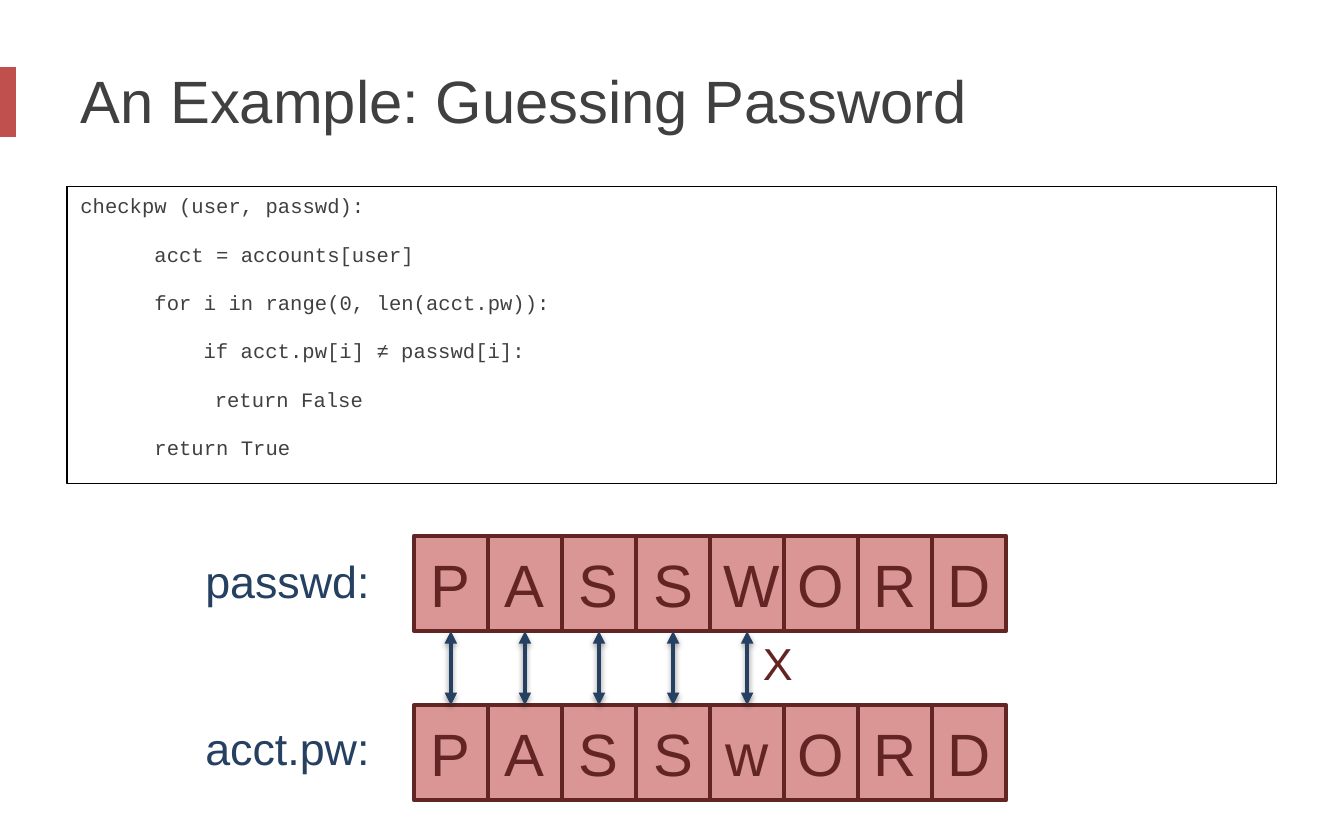
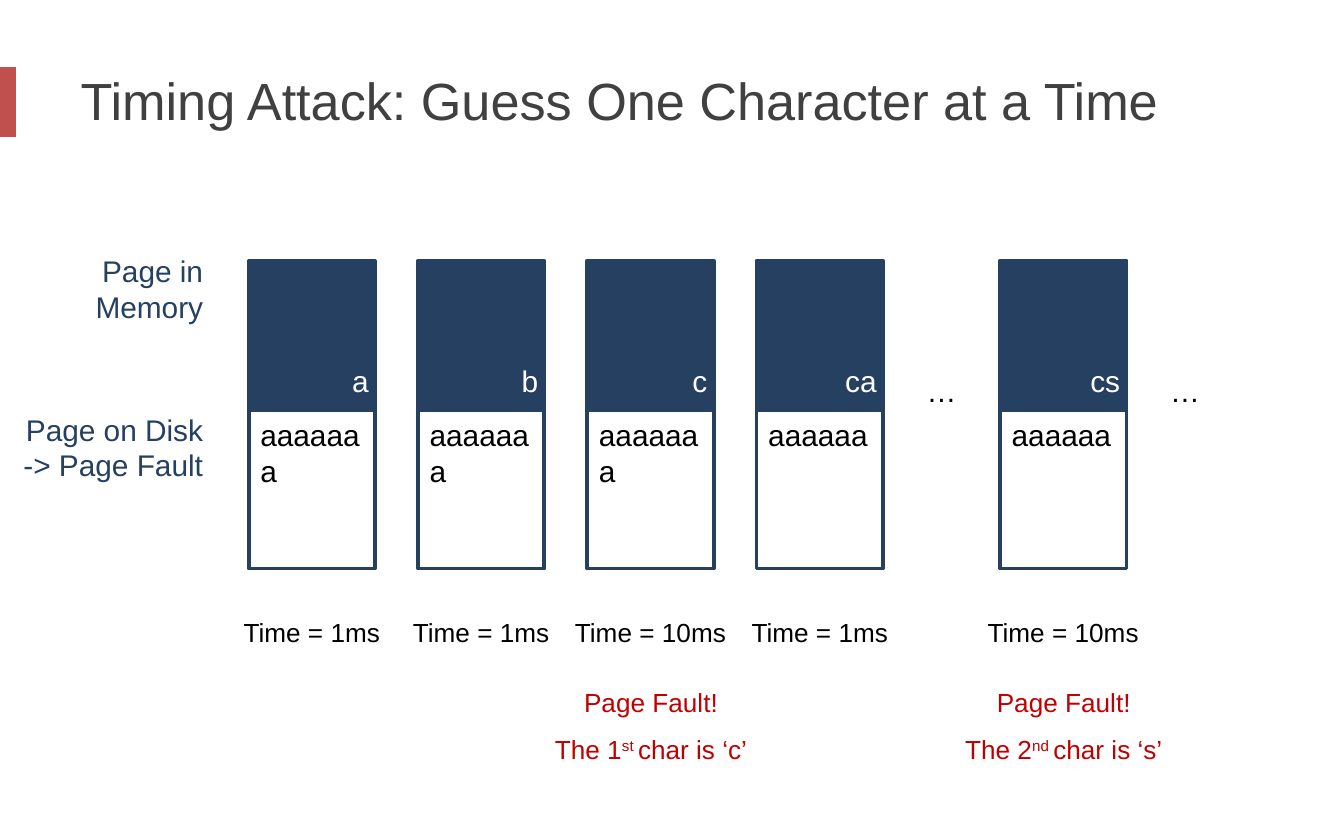
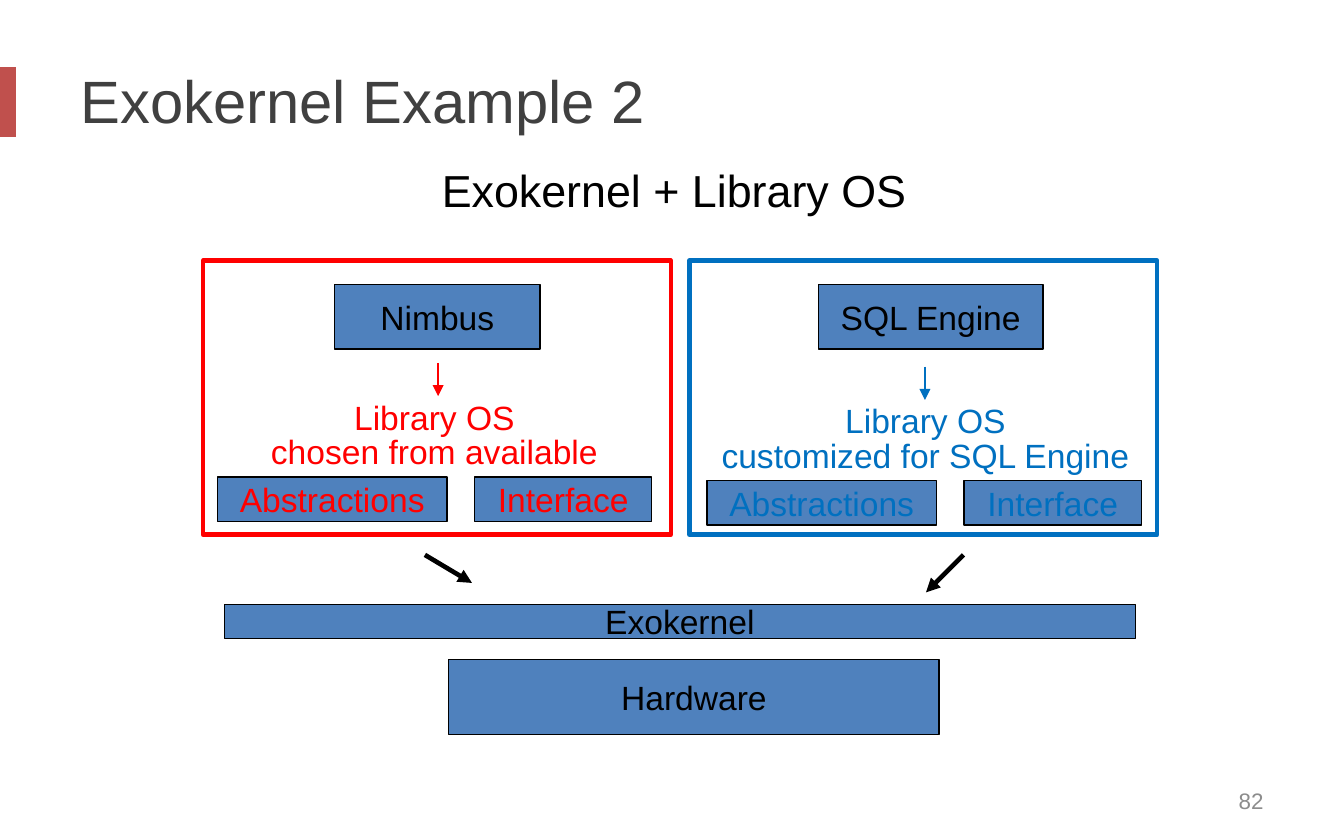
from lxml import etree
from pptx import Presentation
from pptx import util as u
from pptx.dml.color import RGBColor
from pptx.enum import shapes, text
from pptx.oxml import ns

HUES = {
    "bar": "C0504D", "title": "404040", "black": "000000", "white": "FFFFFF",
    "navy": "254061", "pink": "D99694", "wine": "632523", "alert": "C00000",
    "red": "FF0000", "blue": "0070C0", "steel": "4F81BD", "gray": "8C8C8C",
}

CODE = [
    (0, "checkpw (user, passwd):"),
    (1.4, "acct = accounts[user]"),
    (1.4, "for i in range(0, len(acct.pw)):"),
    (2.33, "if acct.pw[i] ≠ passwd[i]:"),
    (2.54, "return False"),
    (1.4, "return True"),
]
WORDS = [("passwd:", "PASSWORD", 10.13, 10.34), ("acct.pw:", "PASSwORD", 13.33, 13.51)]
CELL = {"left": 7.82, "wide": 1.4, "high": 1.8}

PAGES = [("Page in Memory", 0.89, 4.65, 3.2), ("Page on Disk -> Page Fault", 0, 7.65, 4.09)]
TRIES = [
    (4.7, "a", "aaaaaaa", "1ms", None),
    (7.9, "b", "aaaaaaa", "1ms", None),
    (11.1, "c", "aaaaaaa", "10ms", "The 1^st ^char is ‘c’"),
    (14.3, "ca", "aaaaaa", "1ms", None),
    (18.9, "cs", "aaaaaa", "10ms", "The 2^nd ^char is ‘s’"),
]
GAPS = [3, 4]

PANELS = [
    {"hue": "red", "left": 3.84, "app": ("Nimbus", 6.32, 3.89), "mid": 8.28,
     "note": ("chosen from available", 4.11, 8.2), "parts": 4.11, "drop": 0},
    {"hue": "blue", "left": 13.03, "app": ("SQL Engine", 15.47, 4.24), "mid": 17.48,
     "note": ("customized for SQL Engine", 13.11, 8.76), "parts": 13.36, "drop": 0.07},
]
PARTS = [("Abstractions", 0, 4.34), ("Interface", 4.86, 3.35)]
BASE = [("Exokernel", (4.24, 11.43, 17.22, 0.64)), ("Hardware", (8.48, 12.47, 9.27, 1.42))]
LINKS = [((8.03, 10.49), (8.92, 11.02)), ((18.21, 10.49), (17.5, 11.2))]

ALIGN = {"l": text.PP_ALIGN.LEFT, "c": text.PP_ALIGN.CENTER, "r": text.PP_ALIGN.RIGHT}
ANCHOR = {"t": text.MSO_ANCHOR.TOP, "m": text.MSO_ANCHOR.MIDDLE}


def apply(obj, vals):
    for key, val in vals.items():
        setattr(obj, key, val)


def rgb(hue):
    return RGBColor.from_string(HUES[hue])


def place(shape, at):
    apply(shape, dict(zip(("left", "top", "width", "height"), map(u.Cm, at))))


def write(shape, lines, size, hue="black", align="l", anchor="t", wrap=True,
          font="Arial", **para):
    frame = shape.text_frame
    apply(frame, {"word_wrap": wrap, "vertical_anchor": ANCHOR[anchor],
                  "auto_size": text.MSO_AUTO_SIZE.NONE})
    for i, line in enumerate(lines):
        par = frame.add_paragraph() if i else frame.paragraphs[0]
        apply(par, {"alignment": ALIGN[align], **para})
        for j, part in enumerate(line.split("^")):
            run = par.add_run()
            run.text = part
            apply(run.font, {"name": font, "size": u.Pt(size)})
            run.font.color.rgb = rgb(hue)
            if j % 2:
                run.font._element.set("baseline", "30000")


def label(slide, at, lines, size, **fmt):
    box = slide.shapes.add_textbox(*map(u.Cm, at))
    write(box, lines, size, **fmt)


def block(slide, at, fill=None, line=None, width=0.75):
    box = slide.shapes.add_shape(shapes.MSO_SHAPE.RECTANGLE, *map(u.Cm, at))
    box.shadow.inherit = False
    for part, hue in ((box.fill, fill), (box.line.fill, line)):
        if hue:
            part.solid()
            part.fore_color.rgb = rgb(hue)
        else:
            part.background()
    if line:
        box.line.width = u.Pt(width)
    return box


def arrow(slide, start, end, hue, width, both=False):
    link = slide.shapes.add_connector(
        shapes.MSO_CONNECTOR.STRAIGHT, *map(u.Cm, (*start, *end)))
    link.line.color.rgb = rgb(hue)
    link.line.width = u.Pt(width)
    stroke = link.line._get_or_add_ln()
    for tag in ("a:headEnd", "a:tailEnd") if both else ("a:tailEnd",):
        etree.SubElement(stroke, ns.qn(tag), type="triangle")
    glow = etree.SubElement(link._element.spPr, ns.qn("a:effectLst"))
    if both:
        cast = etree.SubElement(glow, ns.qn("a:outerShdw"), blurRad=str(u.Pt(3.1)),
                                dist=str(u.Pt(1.6)), dir="5400000", rotWithShape="0")
        tint = etree.SubElement(cast, ns.qn("a:srgbClr"), val=HUES["black"])
        etree.SubElement(tint, ns.qn("a:alpha"), val="38000")


def start(deck, name, size=32):
    slide = deck.slides.add_slide(deck.slide_layouts[5])
    block(slide, (0, 1.27, 0.3, 1.32), fill="bar")
    place(slide.shapes.title, (1.27, 0.64, 22.86, 2.49))
    write(slide.shapes.title, [name], size, hue="title", anchor="m")
    return slide


def guess(deck):
    slide = start(deck, "An Example: Guessing Password")
    box = block(slide, (1.27, 3.53, 22.86, 5.61), line="black")
    write(box, [line for _, line in CODE], 11, hue="title", font="Courier New",
          space_before=u.Pt(12.7))
    for par, (dent, _) in zip(box.text_frame.paragraphs, CODE):
        par._p.get_or_add_pPr().set("marL", str(u.Cm(dent)))
    left, wide, high = CELL.values()
    for name, word, top, base in WORDS:
        label(slide, (3.63, base, 3.66, 1.27), [name], 24, hue="navy", wrap=False)
        for i, char in enumerate(word):
            cell = block(slide, (left + i * wide, top, wide, high), "pink", "wine", 2)
            write(cell, [char], 32, hue="wine", align="c", anchor="m")
    (_, first, top, _), (_, other, low, _) = WORDS
    for i, (a, b) in enumerate(zip(first, other)):
        mid = left + (i + 0.5) * wide
        arrow(slide, (mid, top + high), (mid, low), "navy", 2.25, both=True)
        if a != b:
            label(slide, (mid + 0.05, 11.89, 1.09, 1.27), ["X"], 24, hue="wine", wrap=False)
            break


def timing(deck):
    slide = start(deck, "Timing Attack: Guess One Character at a Time", 28)
    for name, left, top, wide in PAGES:
        label(slide, (left, top, wide, 1.63), [name], 16, hue="navy", align="r")
    for left, head, rest, time, fault in TRIES:
        block(slide, (left, 4.93, 2.39, 2.8), "navy", "navy", 2)
        block(slide, (left, 7.75, 2.39, 3), None, "navy", 2)
        label(slide, (left + 0.69, 6.73, 1.83, 0.94), [head], 16, hue="white", align="r")
        label(slide, (left - 0.03, 7.75, 2.59, 1.63), [rest], 16)
        label(slide, (left - 0.61, 11.53, 3.61, 0.86), [f"Time = {time}"], 14, align="c")
        if fault:
            label(slide, (left - 0.99, 12.55, 4.39, 1.96), ["Page Fault!", fault], 14,
                  hue="alert", align="c", line_spacing=1.5)
    for i in GAPS:
        label(slide, (TRIES[i][0] + 2.39, 6.93, 2.21, 0.94), ["…"], 16, align="c")


def kernel(deck):
    slide = start(deck, "Exokernel Example 2")
    mid = {"align": "c", "anchor": "m", "wrap": False}
    label(slide, (18.21, 14.71, 5.92, 0.84), ["82"], 12, hue="gray", align="r", anchor="m")
    label(slide, (8.1, 2.95, 9.37, 1.27), ["Exokernel + Library OS"], 24, wrap=False)
    for pan in PANELS:
        hue, drop = pan["hue"], pan["drop"]
        block(slide, (pan["left"], 4.93, 8.84, 5.18), None, hue, 2.5)
        name, left, wide = pan["app"]
        write(block(slide, (left, 5.38, wide, 1.22), "steel", "black"), [name], 18, **mid)
        arrow(slide, (pan["mid"], 6.86 + drop), (pan["mid"], 7.49 + drop), hue, 0.75)
        note, left, wide = pan["note"]
        label(slide, (left, 7.49 + drop, wide, 1.55), ["Library OS", note], 18, hue=hue,
              align="c", line_spacing=u.Pt(18.3))
        for name, step, wide in PARTS:
            box = block(slide, (pan["parts"] + step, 9.02 + drop, wide, 0.84), "steel", "black")
            write(box, [name], 18, hue=hue, **mid)
    for name, at in BASE:
        write(block(slide, at, "steel", "black"), [name], 18, **mid)
    for a, b in LINKS:
        arrow(slide, a, b, "black", 2.5)


def main():
    deck = Presentation()
    apply(deck, {"slide_width": u.Cm(25.4), "slide_height": u.Cm(15.88)})
    for make in (guess, timing, kernel):
        make(deck)
    deck.save("out.pptx")


if __name__ == "__main__":
    main()
